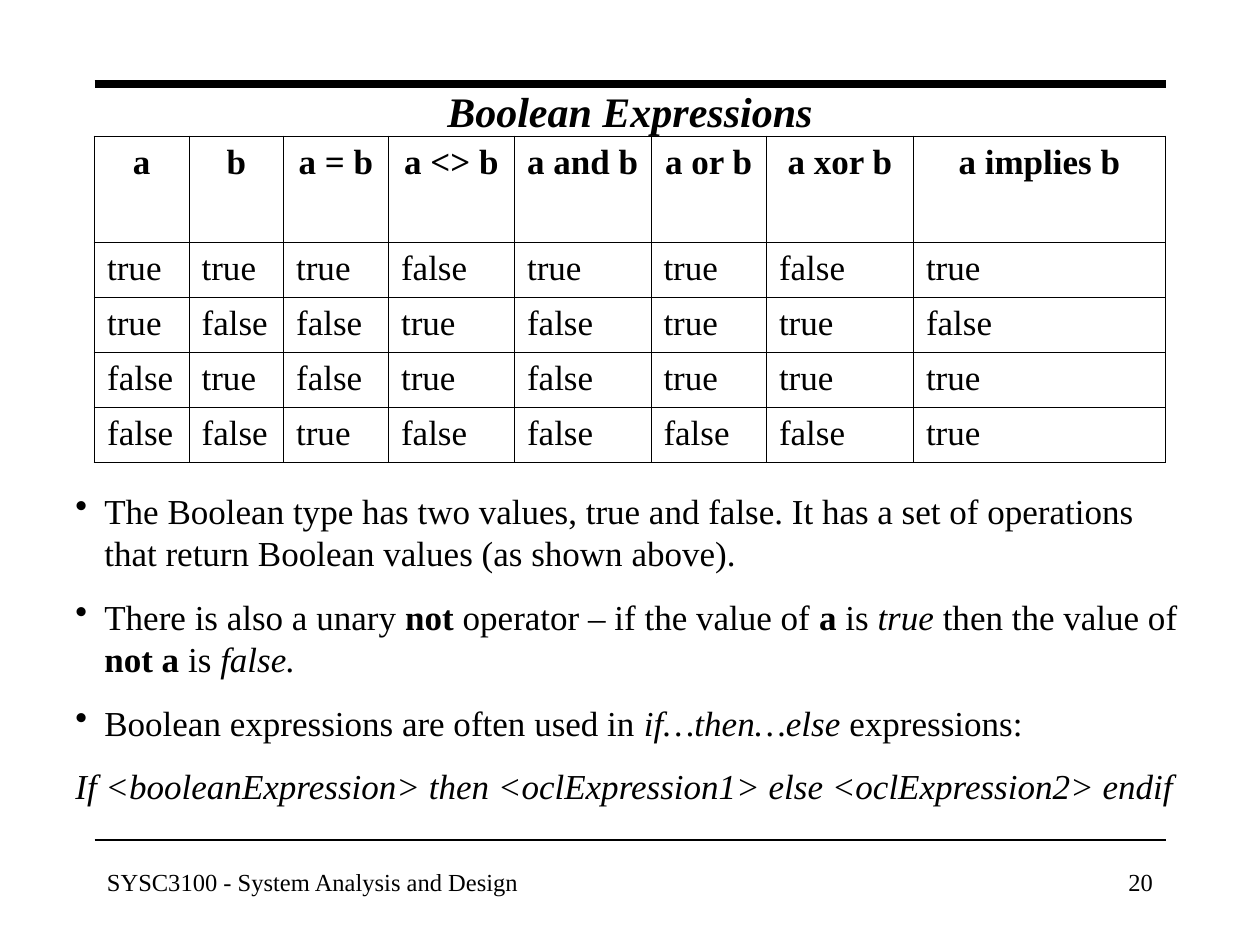
from dataclasses import dataclass
from itertools import product

from lxml import etree
from pptx import Presentation
from pptx.dml.color import RGBColor
from pptx.enum.shapes import MSO_CONNECTOR
from pptx.enum.text import MSO_ANCHOR, MSO_AUTO_SIZE, PP_ALIGN
from pptx.oxml.ns import qn
from pptx.util import Inches, Pt

STRAIGHT = MSO_CONNECTOR.STRAIGHT
LEFT, CENTER, RIGHT = PP_ALIGN.LEFT, PP_ALIGN.CENTER, PP_ALIGN.RIGHT
TOP, MIDDLE = MSO_ANCHOR.TOP, MSO_ANCHOR.MIDDLE
FIXED = MSO_AUTO_SIZE.NONE


@dataclass(frozen=True)
class Theme:
    """Colours, font, type sizes and line widths in points."""
    ink: str = "000000"
    font: str = "Times New Roman"
    title: int = 24
    body: int = 20
    footer: int = 14
    leading: int = 24
    hanging: float = 0.23
    inner_border: float = 0.45
    outer_border: float = 1.08


THEME = Theme()
MARGIN, CONTENT = 9, 102
COLUMN_WIDTHS = [9, 9, 10, 12, 13, 11, 14, 24]
HEADER_HEIGHT, ROW_HEIGHT = 10.1, 5.24

OPERATIONS = {
    "a": lambda a, b: a,
    "b": lambda a, b: b,
    "a = b": lambda a, b: a == b,
    "a <> b": lambda a, b: a != b,
    "a and b": lambda a, b: a and b,
    "a or b": lambda a, b: a or b,
    "a xor b": lambda a, b: a != b,
    "a implies b": lambda a, b: not a or b,
}

BULLETS = [
    [("The Boolean type has two values, true and false. It has a set of "
      "operations that return Boolean values (as shown above).", "")],
    [("There is also a unary ", ""), ("not", "b"),
     (" operator – if the value of ", ""), ("a", "b"), (" is ", ""),
     ("true", "i"), (" then the value of ", ""), ("not a", "b"),
     (" is ", ""), ("false.", "i")],
    [("Boolean expressions are often used in ", ""),
     ("if…then…else", "i"), (" expressions:", "")],
]
SYNTAX = [("If <booleanExpression> then <oclExpression1> "
           "else <oclExpression2> endif", "i")]


def grid(units):
    """Turn grid units of a twelfth of an inch into a length."""
    return Inches(units / 12)


def write(paragraph, runs, size=THEME.body, align=LEFT, before=0,
          leading=None, bullet=False):
    """Fill a paragraph with (text, style) runs, style holding b and i."""
    paragraph.alignment = align
    paragraph.space_before = Pt(before)
    if leading:
        paragraph.line_spacing = Pt(leading)
    for text, style in runs:
        run = paragraph.add_run()
        run.text = text
        font = run.font
        font.name, font.size = THEME.font, Pt(size)
        font.bold, font.italic = "b" in style, "i" in style
        font.color.rgb = RGBColor.from_string(THEME.ink)
    if bullet:
        properties = paragraph._p.get_or_add_pPr()
        properties.set("marL", str(Inches(THEME.hanging)))
        properties.set("indent", str(-Inches(THEME.hanging)))
        etree.SubElement(properties, qn("a:buChar"), char="•")


def prepare(frame, anchor=TOP):
    """Make a text frame wrap at a fixed size."""
    frame.word_wrap, frame.auto_size = True, FIXED
    frame.vertical_anchor = anchor
    return frame


def add_text(slide, left, top, width, height):
    """Add a text box on the grid and return its frame."""
    box = slide.shapes.add_textbox(*map(grid, (left, top, width, height)))
    return prepare(box.text_frame)


def add_rule(slide, top, weight):
    """Draw a horizontal rule across the content width."""
    rule = slide.shapes.add_connector(
        STRAIGHT, grid(MARGIN), grid(top), grid(MARGIN + CONTENT), grid(top))
    rule.line.color.rgb = RGBColor.from_string(THEME.ink)
    rule.line.width = Pt(weight)
    etree.SubElement(rule._element.spPr, qn("a:effectLst"))


def add_title(slide, text):
    """Place and fill the title placeholder."""
    title = slide.shapes.title
    title.left, title.top = grid(MARGIN), grid(8)
    title.width, title.height = grid(CONTENT), grid(5)
    frame = prepare(title.text_frame, MIDDLE)
    write(frame.paragraphs[0], [(text, "bi")], THEME.title, CENTER)


def set_borders(cell, outer_sides):
    """Draw the four cell borders, heavier on the outer sides."""
    properties = cell._tc.get_or_add_tcPr()
    for side in "LRTB":
        weight = THEME.outer_border if side in outer_sides else THEME.inner_border
        border = etree.SubElement(properties, qn(f"a:ln{side}"), w=str(Pt(weight)))
        fill = etree.SubElement(border, qn("a:solidFill"))
        etree.SubElement(fill, qn("a:srgbClr"), val=THEME.ink)


def add_truth_table(slide):
    """Evaluate every operation for all operand pairs in a table."""
    rows = [list(OPERATIONS)] + [
        [str(bool(operation(a, b))).lower() for operation in OPERATIONS.values()]
        for a, b in product((True, False), repeat=2)]
    heights = [HEADER_HEIGHT] + [ROW_HEIGHT] * (len(rows) - 1)
    table = slide.shapes.add_table(
        len(rows), len(OPERATIONS), grid(MARGIN), grid(13),
        grid(CONTENT), grid(sum(heights))).table
    table.first_row = table.horz_banding = False
    for column, width in zip(table.columns, COLUMN_WIDTHS):
        column.width = grid(width)
    for r, (values, height) in enumerate(zip(rows, heights)):
        table.rows[r].height = grid(height)
        for c, value in enumerate(values):
            cell = table.cell(r, c)
            edges = {"T": r == 0, "B": r == len(rows) - 1,
                     "L": c == 0, "R": c == len(values) - 1}
            set_borders(cell, [side for side, outer in edges.items() if outer])
            cell.fill.background()
            write(cell.text_frame.paragraphs[0], [(value, "" if r else "b")],
                  align=LEFT if r else CENTER, before=5)


def add_explanation(slide):
    """Add the bullets and the conditional syntax below the table."""
    frame = add_text(slide, 6, 46, 108, 31.4)
    for index, runs in enumerate([*BULLETS, SYNTAX]):
        paragraph = frame.add_paragraph() if index else frame.paragraphs[0]
        write(paragraph, runs, before=12.5, leading=THEME.leading,
              bullet=index < len(BULLETS))


def add_footer(slide, course, number):
    """Add the course name and the slide number."""
    for text, left, width, align in ((course, MARGIN, 69, LEFT),
                                     (number, 86, 25, RIGHT)):
        frame = add_text(slide, left, 82, width, 6)
        write(frame.paragraphs[0], [(text, "")], THEME.footer, align)


def main():
    """Build and save the slide."""
    deck = Presentation()
    deck.slide_width, deck.slide_height = Inches(10), Inches(7.5)
    slide = deck.slides.add_slide(deck.slide_layouts[5])
    add_rule(slide, 8, 4.5)
    add_rule(slide, 80, 1)
    add_title(slide, "Boolean Expressions")
    add_truth_table(slide)
    add_explanation(slide)
    add_footer(slide, "SYSC3100 - System Analysis and Design", "20")
    deck.save("out.pptx")


if __name__ == "__main__":
    main()
